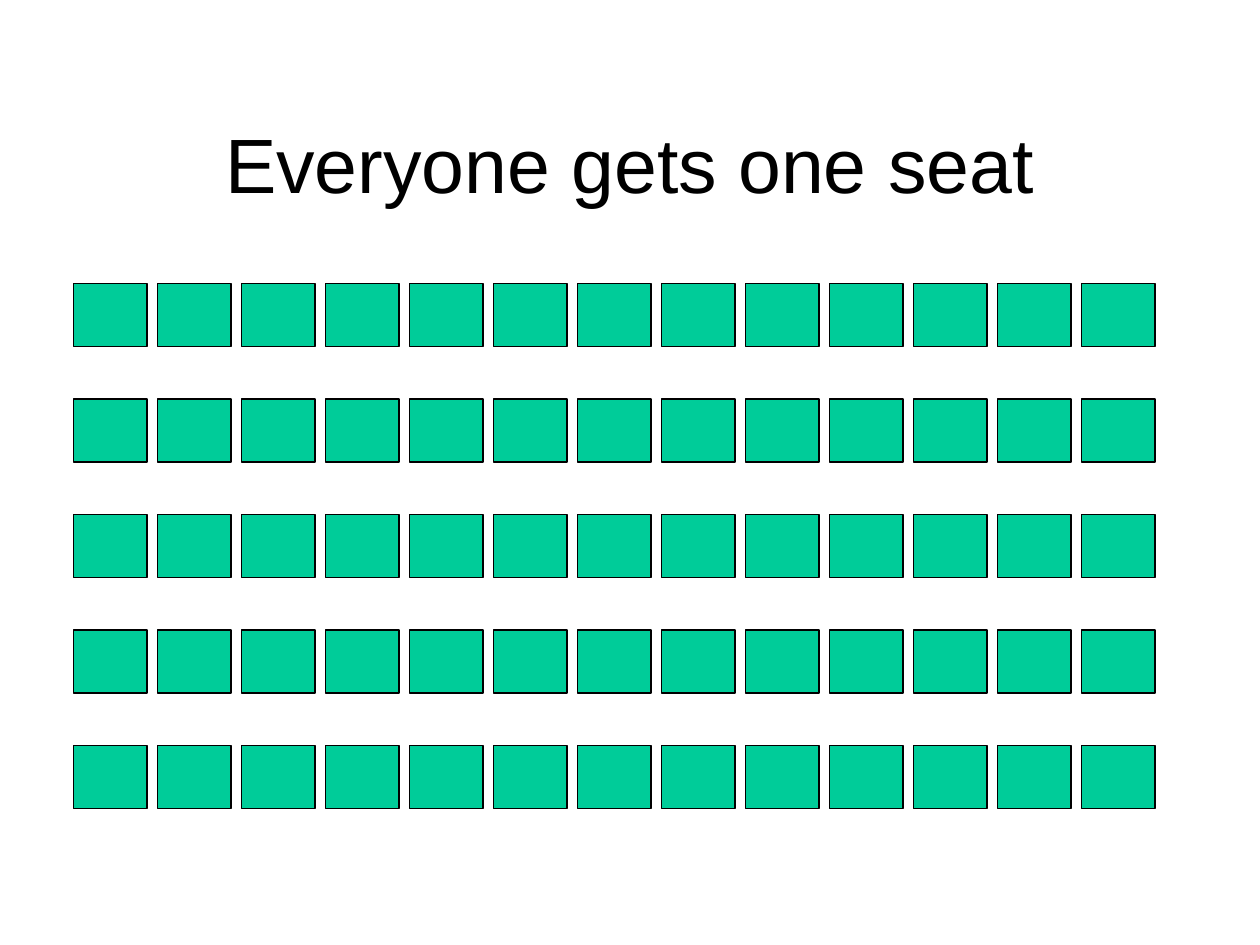
"""Build a slide with rows of equal seats under a title."""
from pptx import Presentation
from pptx.dml.color import RGBColor as RGB
from pptx.enum.shapes import MSO_SHAPE as Shape
from pptx.enum.text import MSO_ANCHOR as Anchor, PP_ALIGN as Align
from pptx.util import Inches, Pt

COLORS = {"seat": "00CC99", "ink": "000000"}
ROWS, SEATS = 5, 13
LEFT, TOP = 7 / 12, 2.25
WIDTH, HEIGHT = 7 / 12, 0.5
STEP, PITCH = 2 / 3, 11 / 12


def color(name):
    return RGB.from_string(COLORS[name])


def add_title(slide, text):
    title = slide.shapes.title
    title.left, title.top = Inches(0.75), Inches(0.67)
    title.width, title.height = Inches(8.5), Inches(1.25)
    frame = title.text_frame
    frame.word_wrap = True
    frame.vertical_anchor = Anchor.MIDDLE
    para = frame.paragraphs[0]
    para.alignment = Align.CENTER
    run = para.add_run()
    run.text = text
    run.font.name, run.font.size = "Arial", Pt(44)
    run.font.color.rgb = color("ink")


def add_seat(row, left, top):
    seat = row.shapes.add_shape(
        Shape.RECTANGLE, Inches(left), Inches(top), Inches(WIDTH), Inches(HEIGHT)
    )
    seat.shadow.inherit = False
    seat.fill.solid()
    seat.fill.fore_color.rgb = color("seat")
    seat.line.color.rgb = color("ink")
    seat.line.width = Pt(0.75)


def add_row(slide, top):
    row = slide.shapes.add_group_shape()
    for col in range(SEATS):
        add_seat(row, LEFT + col * STEP, top)


def main():
    deck = Presentation()
    deck.slide_width, deck.slide_height = Inches(10), Inches(7.5)
    slide = deck.slides.add_slide(deck.slide_layouts[5])
    add_title(slide, "Everyone gets one seat")
    for num in range(ROWS):
        add_row(slide, TOP + num * PITCH)
    deck.save("out.pptx")


if __name__ == "__main__":
    main()
